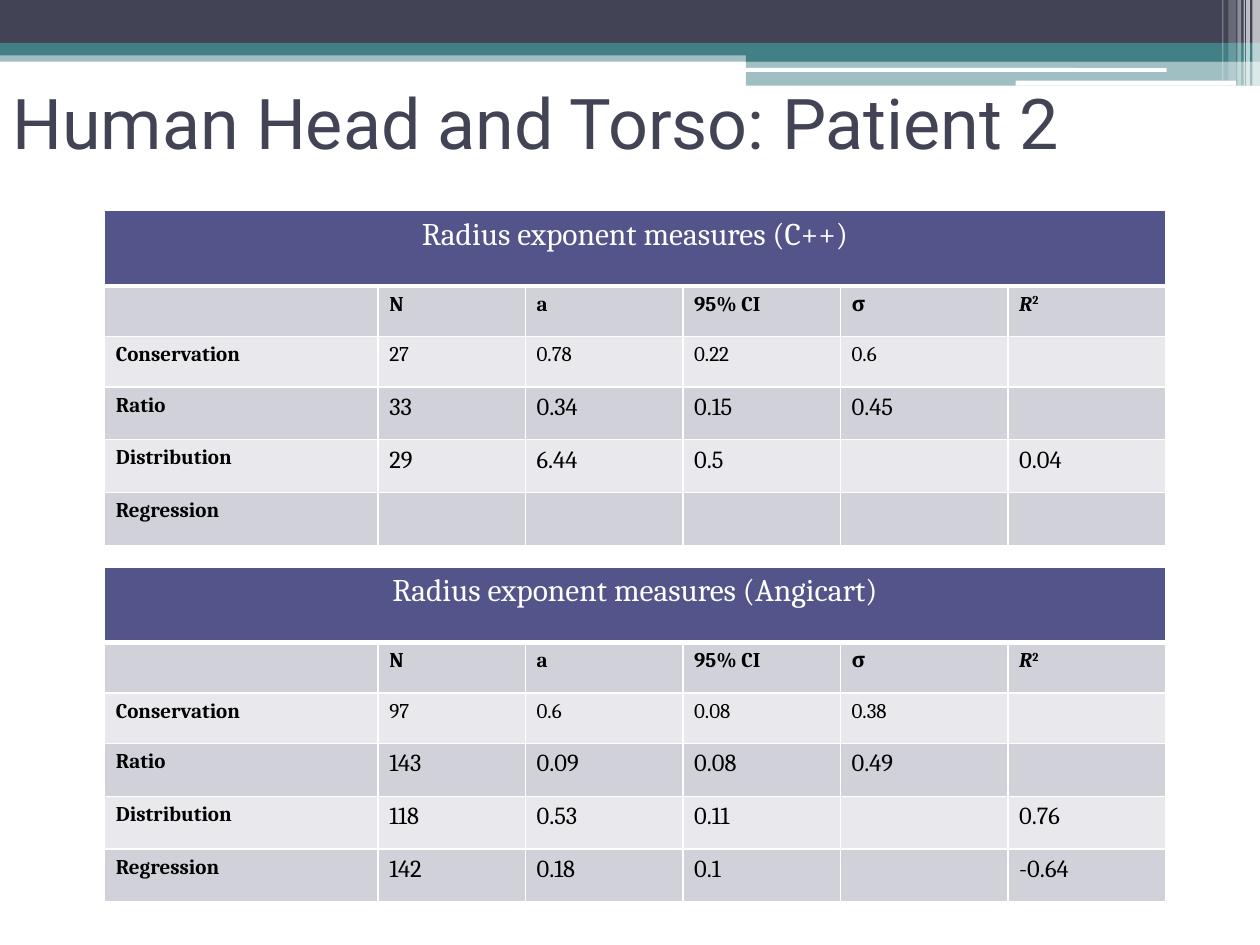
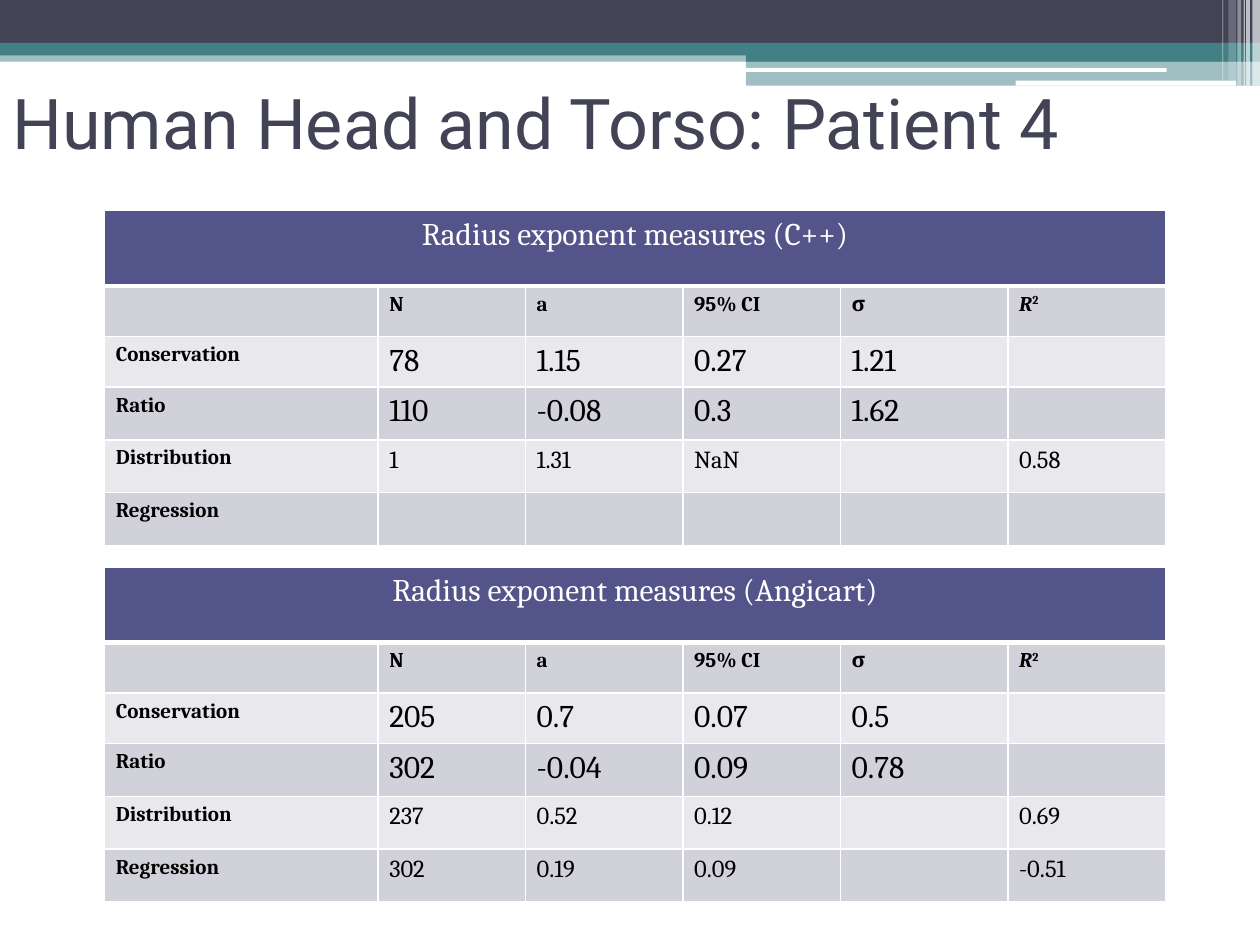
from lxml.etree import SubElement
from pptx import Presentation
from pptx.dml.color import RGBColor
from pptx.enum.shapes import MSO_SHAPE
from pptx.enum.text import PP_ALIGN
from pptx.oxml.ns import qn
from pptx.util import Inches, Pt

# Shared colours and fonts
SLATE, TEAL, WHITE, BLACK = "424456", "438086", "FFFFFF", "000000"
HEADER, DARK_ROW, LIGHT_ROW = "53548A", "D1D1DA", "E9E9ED"
TITLE_FONT, TABLE_FONT = "Roboto", "Cambria"

# Top decoration: left, top, width, height, colour, opacity in percent
BANDS = [
    (0, 0.4, 10, 0.09, TEAL, 50),
    (0, 0, 10, 0.34, SLATE, 100),
    (0, 0.34, 10, 0.1, TEAL, 100),
    (5.92, 0.39, 4.08, 0.1, TEAL, 100),
    (5.92, 0.48, 4.08, 0.2, TEAL, 50),
]
ROUNDED_LINES = [
    (5.91, 0.54, 3.35, 0.03, WHITE, 100),
    (8.06, 0.64, 1.75, 0.04, WHITE, 100),
]
STRIPES = [  # left, width, height, opacity
    (9.94, 0.06, 0.68, 65),
    (9.89, 0.03, 0.68, 65),
    (9.87, 0.01, 0.68, 60),
    (9.82, 0.03, 0.68, 40),
    (9.75, 0.06, 0.64, 20),
    (9.7, 0.01, 0.64, 30),
]

# Table layout
COLUMN_WIDTHS = [2.17, 1.17, 1.25, 1.25, 1.33, 1.25]
ROW_HEIGHTS = [0.6, 0.4, 0.4, 0.42, 0.42, 0.42]
TABLE_LEFT = 0.83
TABLE_TOPS = {"C++": 1.67, "Angicart": 4.5}
COLUMN_HEADS = ["", "N", "a", "95% CI", "σ", "R"]
MEASURES = ["Conservation", "Ratio", "Distribution", "Regression"]

# Patient: value sizes per measure, then values per program
PATIENTS = {
    2: ([12, 14, 14, 14], {
        "C++": [
            ["27", "0.78", "0.22", "0.6", ""],
            ["33", "0.34", "0.15", "0.45", ""],
            ["29", "6.44", "0.5", "", "0.04"],
            [""] * 5,
        ],
        "Angicart": [
            ["97", "0.6", "0.08", "0.38", ""],
            ["143", "0.09", "0.08", "0.49", ""],
            ["118", "0.53", "0.11", "", "0.76"],
            ["142", "0.18", "0.1", "", "-0.64"],
        ],
    }),
    4: ([18, 18, 14, 14], {
        "C++": [
            ["78", "1.15", "0.27", "1.21", ""],
            ["110", "-0.08", "0.3", "1.62", ""],
            ["1", "1.31", "NaN", "", "0.58"],
            [""] * 5,
        ],
        "Angicart": [
            ["205", "0.7", "0.07", "0.5", ""],
            ["302", "-0.04", "0.09", "0.78", ""],
            ["237", "0.52", "0.12", "", "0.69"],
            ["302", "0.19", "0.09", "", "-0.51"],
        ],
    }),
}


def paint(fill, color):
    fill.solid()
    fill.fore_color.rgb = RGBColor.from_string(color)


def add_span(para, text, size, color=BLACK, font=TABLE_FONT, bold=False, italic=False):
    span = para.add_run()
    span.text = text
    span.font.size = Pt(size)
    span.font.name = font
    span.font.bold = bold
    span.font.italic = italic
    span.font.color.rgb = RGBColor.from_string(color)
    return span


def add_band(page, kind, left, top, width, height, color, opacity):
    band = page.shapes.add_shape(
        kind, Inches(left), Inches(top), Inches(width), Inches(height))
    band.shadow.inherit = False
    band.line.fill.background()
    paint(band.fill, color)
    if opacity < 100:
        color_node = band.fill._xPr.find(qn("a:solidFill"))[0]
        SubElement(color_node, qn("a:alpha"), val=str(opacity * 1000))


def add_decoration(page):
    for band in BANDS:
        add_band(page, MSO_SHAPE.RECTANGLE, *band)
    for line in ROUNDED_LINES:
        add_band(page, MSO_SHAPE.ROUNDED_RECTANGLE, *line)
    for left, width, height, opacity in STRIPES:
        add_band(page, MSO_SHAPE.RECTANGLE, left, 0, width, height, WHITE, opacity)


def add_title(page, text):
    box = page.shapes.add_textbox(Inches(0), Inches(0.58), Inches(9), Inches(1.17))
    box.text_frame.word_wrap = True
    add_span(box.text_frame.paragraphs[0], text, 40, SLATE, TITLE_FONT)


def style_cell(cell, color, bottom_width=1):
    cell.margin_left = cell.margin_right = Inches(0.09)
    properties = cell._tc.get_or_add_tcPr()
    for side, width in (("L", 1), ("R", 1), ("T", 1), ("B", bottom_width)):
        border = SubElement(properties, qn(f"a:ln{side}"), w=str(Pt(width)))
        SubElement(SubElement(border, qn("a:solidFill")), qn("a:srgbClr"), val=WHITE)
    paint(cell.fill, color)


def fill_cell(cell, text, size, bold=False, italic=False):
    para = cell.text_frame.paragraphs[0]
    if text:
        add_span(para, text, size, bold=bold, italic=italic)
    else:
        SubElement(para._p, qn("a:endParaRPr"), sz=str(size * 100))
    return para


def add_measure_table(page, program, values, sizes):
    frame = page.shapes.add_table(
        len(ROW_HEIGHTS), len(COLUMN_WIDTHS),
        Inches(TABLE_LEFT), Inches(TABLE_TOPS[program]),
        Inches(sum(COLUMN_WIDTHS)), Inches(sum(ROW_HEIGHTS)))
    table = frame.table
    for column, width in zip(table.columns, COLUMN_WIDTHS):
        column.width = Inches(width)
    for row, height in zip(table.rows, ROW_HEIGHTS):
        row.height = Inches(height)

    # Merged heading
    for cell in table.rows[0].cells:
        style_cell(cell, HEADER, 3)
    heading = table.cell(0, 0)
    heading.merge(table.cell(0, len(COLUMN_WIDTHS) - 1))
    para = heading.text_frame.paragraphs[0]
    para.alignment = PP_ALIGN.CENTER
    add_span(para, f"Radius exponent measures ({program})", 18, WHITE)

    # Column heads
    for cell, head in zip(table.rows[1].cells, COLUMN_HEADS):
        style_cell(cell, DARK_ROW)
        para = fill_cell(cell, head, 12, bold=True, italic=head == "R")
        if head == "R":
            square = add_span(para, "2", 12, bold=True)
            square._r.get_or_add_rPr().set("baseline", "30000")

    # Measures
    for index, (measure, numbers, size) in enumerate(zip(MEASURES, values, sizes)):
        cells = list(table.rows[index + 2].cells)
        for cell in cells:
            style_cell(cell, DARK_ROW if index % 2 else LIGHT_ROW)
        fill_cell(cells[0], measure, 12, bold=True)
        for cell, number in zip(cells[1:], numbers):
            fill_cell(cell, number, size if number else 12)


def main():
    deck = Presentation()
    deck.slide_width, deck.slide_height = Inches(10), Inches(7.5)
    for patient, (sizes, programs) in PATIENTS.items():
        page = deck.slides.add_slide(deck.slide_layouts[6])
        add_decoration(page)
        for program, values in programs.items():
            add_measure_table(page, program, values, sizes)
        add_title(page, f"Human Head and Torso: Patient {patient}")
    deck.save("out.pptx")


if __name__ == "__main__":
    main()
